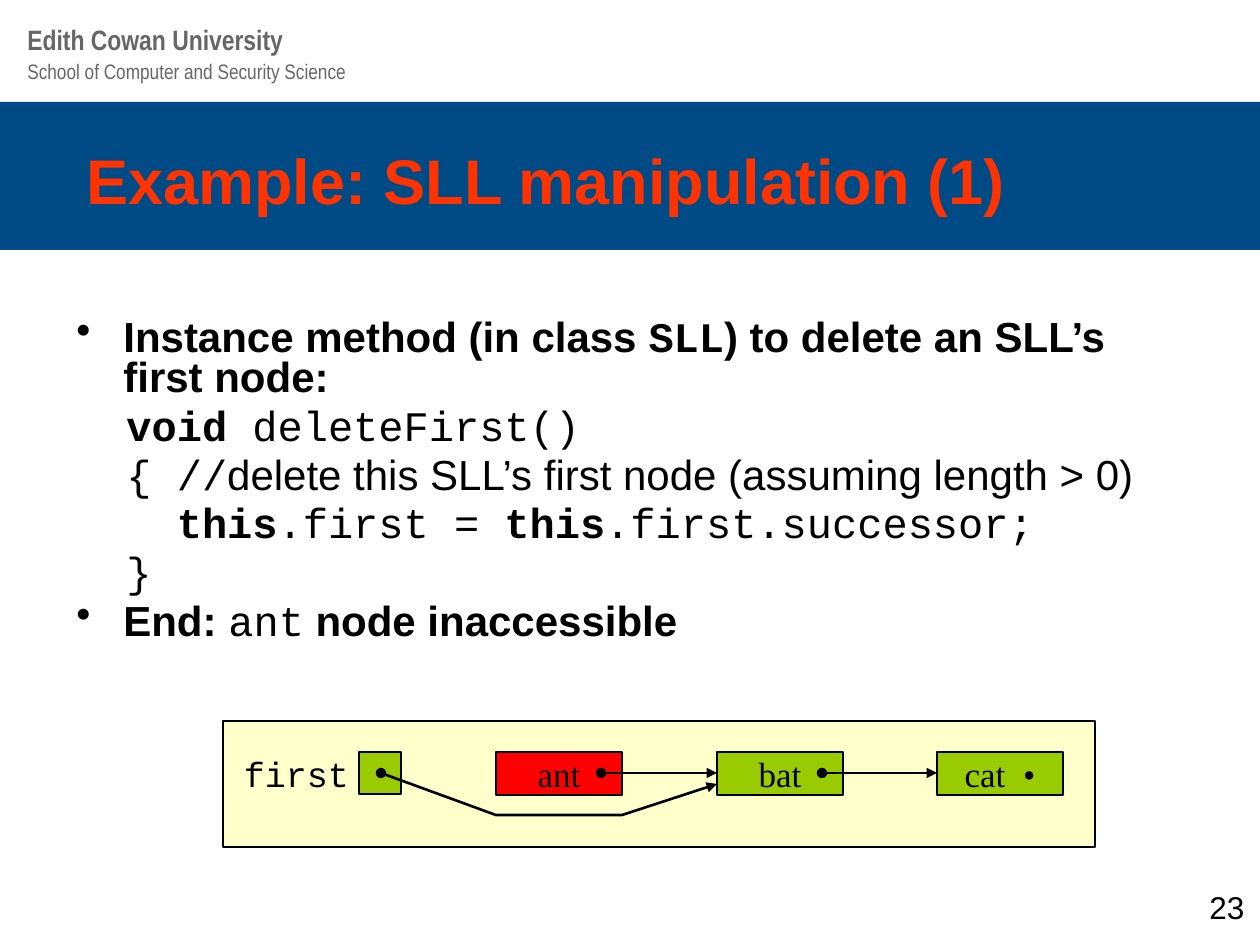
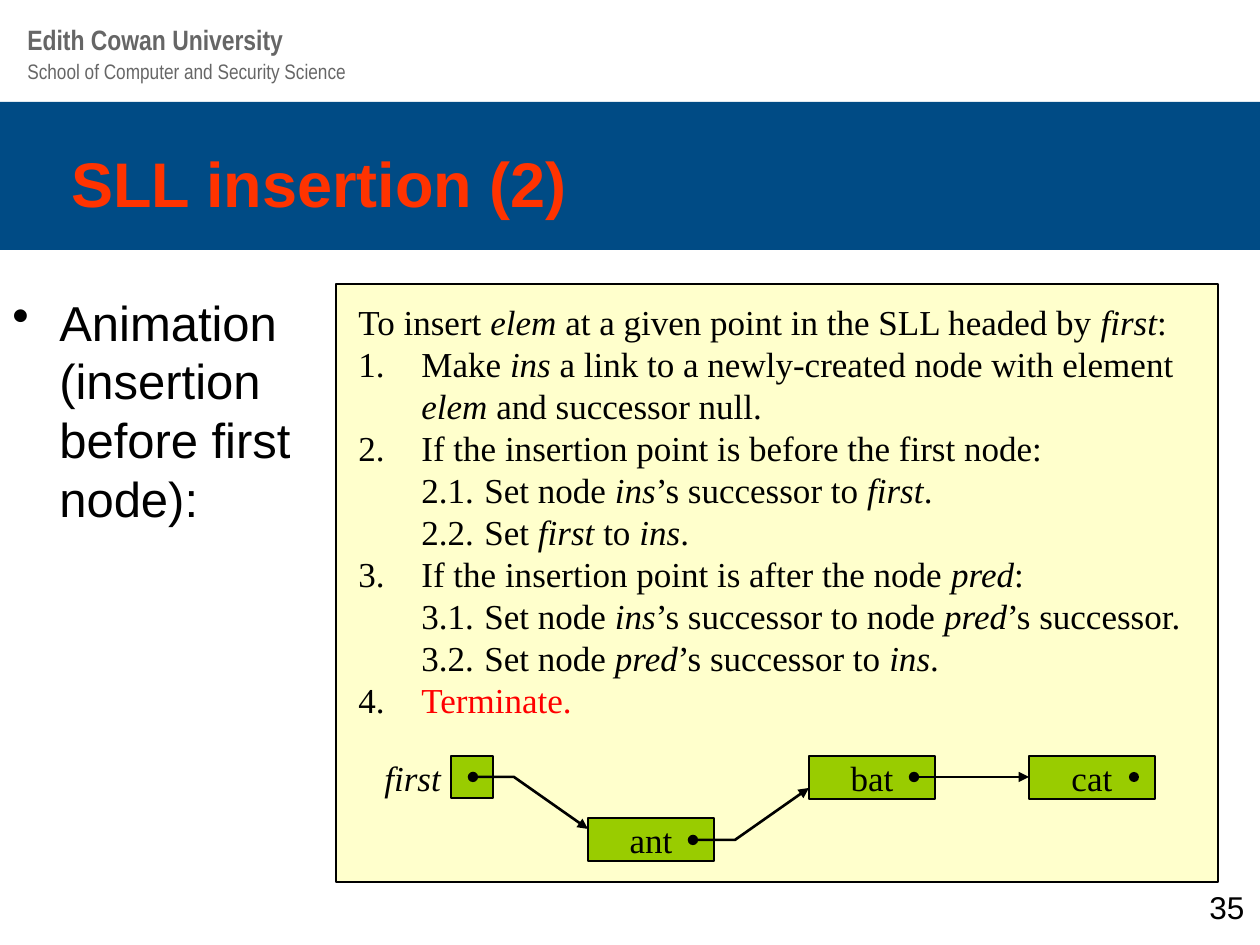
"""Build two slides on manipulating singly-linked lists."""
from pptx import Presentation
from pptx.dml.color import RGBColor
from pptx.enum.shapes import MSO_CONNECTOR, MSO_SHAPE
from pptx.enum.text import MSO_ANCHOR, PP_ALIGN
from pptx.oxml.ns import qn
from pptx.util import Emu, Pt
from lxml import etree

PX_PER_INCH = 126
RECT, OVAL = MSO_SHAPE.RECTANGLE, MSO_SHAPE.OVAL
STRAIGHT = MSO_CONNECTOR.STRAIGHT
TOP, MIDDLE = MSO_ANCHOR.TOP, MSO_ANCHOR.MIDDLE
CENTER, RIGHT = PP_ALIGN.CENTER, PP_ALIGN.RIGHT

BLACK, GREY, BLUE, ORANGE = "000000", "666666", "004B85", "FF3300"
CREAM, GREEN, RED = "FFFFCC", "99CC00", "FF0000"

SANS = {"name": "Arial", "color": BLACK}
NARROW = {"name": "Arial Narrow", "color": GREY}
SERIF = {"name": "Times New Roman", "size": 20, "color": BLACK}
TITLE = {**SANS, "size": 36, "bold": True, "color": ORANGE}
BODY = {**SANS, "size": 24, "bold": False}
STRONG = {**BODY, "bold": True}
CODE = {**BODY, "name": "Courier New"}
KEYWORD = {**CODE, "bold": True}

BULLET = {"margin": 47, "indent": -47, "bullet": "•"}
TIGHT = {"line_spacing": 0.8, "space_before": Pt(4.8)}
NODE_WIDTH, NODE_HEIGHT, CELL = 126, 43, 42

STEPS = [
    "To insert *elem* at a given point in the SLL headed by *first*:",
    "1.\tMake *ins* a link to a newly-created node with element",
    "\t*elem* and successor null.",
    "2.\tIf the insertion point is before the first node:",
    "\t2.1.\tSet node *ins*’s successor to *first*.",
    "\t2.2.\tSet *first* to *ins*.",
    "3.\tIf the insertion point is after the node *pred*:",
    "\t3.1.\tSet node *ins*’s successor to node *pred*’s successor.",
    "\t3.2.\tSet node *pred*’s successor to *ins*.",
]


def px(length):
    """Turn a length in px into EMU."""
    return Emu(round(length * 914400 / PX_PER_INCH))


def rgb(code):
    """Turn a hex string into a colour."""
    return RGBColor.from_string(code)


def add_span(para, text, style):
    """Add a run of text in the given style."""
    span = para.add_run()
    span.text = text
    for key, value in style.items():
        if key == "color":
            span.font.color.rgb = rgb(value)
        elif key == "tracking":
            span.font._element.set("spc", str(value))
        else:
            setattr(span.font, key, Pt(value) if key == "size" else value)


def lay_out(para, margin=0, indent=0, bullet=None, tabs=(), **formats):
    """Set the indents, bullet, tab stops and spacing of a paragraph."""
    properties = para._p.get_or_add_pPr()
    properties.set("marL", str(px(margin)))
    properties.set("indent", str(px(indent)))
    if bullet:
        etree.SubElement(properties, qn("a:buChar"), char=bullet)
    if tabs:
        stops = etree.SubElement(properties, qn("a:tabLst"))
        for stop in tabs:
            etree.SubElement(stops, qn("a:tab"), pos=str(px(stop)), algn="l")
    for key, value in formats.items():
        setattr(para, key, value)


def write(frame, paras, anchor=TOP, inset=None):
    """Fill a text frame with (spans, layout) paragraphs."""
    frame.word_wrap = True
    frame.vertical_anchor = anchor
    if inset is not None:
        for side in ("left", "top", "right", "bottom"):
            setattr(frame, f"margin_{side}", px(inset))
    for number, (spans, layout) in enumerate(paras):
        para = frame.add_paragraph() if number else frame.paragraphs[0]
        lay_out(para, **layout)
        if not number:
            para.space_before = Pt(0)
        for text, style in spans:
            add_span(para, text, style)


def add_text(page, place, paras, **options):
    """Add a text box."""
    box = page.shapes.add_textbox(*map(px, place))
    write(box.text_frame, paras, **options)


def add_line_of_text(page, place, text, style, **options):
    """Add a text box with one plain paragraph."""
    add_text(page, place, [([(text, style)], {})], **options)


def add_block(page, place, fill, line=BLACK, preset=RECT):
    """Add a flat preset shape."""
    block = page.shapes.add_shape(preset, *map(px, place))
    block.shadow.inherit = False
    block.fill.solid()
    block.fill.fore_color.rgb = rgb(fill)
    if line:
        block.line.color.rgb = rgb(line)
        block.line.width = Pt(0.75)
    else:
        block.line.fill.background()
    return block


def add_node(page, left, top, spans, fill=GREEN):
    """Add a list node with its element."""
    node = add_block(page, (left, top, NODE_WIDTH, NODE_HEIGHT), fill)
    write(node.text_frame, [(spans, {"alignment": CENTER})], MIDDLE, 0)


def add_header(page, left, top, width, style):
    """Add the label and the cell of the link to the first node."""
    add_text(page, (left, top, width, CELL),
             [([("first", style)], {"alignment": RIGHT})], inset=0)
    add_block(page, (left + width + 10, top, CELL, CELL), GREEN)


def add_link(page, *points):
    """Draw a link from a dot through the points to an arrowhead."""
    start, *others = [tuple(map(px, point)) for point in points]
    if len(others) == 1:
        link = page.shapes.add_connector(STRAIGHT, *start, *others[0])
        etree.SubElement(link.element.spPr, qn("a:effectLst"))
    else:
        outline = page.shapes.build_freeform(*start)
        outline.add_line_segments(others, close=False)
        link = outline.convert_to_shape()
        link.fill.background()
        link.shadow.inherit = False
    link.line.color.rgb = rgb(BLACK)
    link.line.width = Pt(1.5)
    line = link.element.spPr.find(qn("a:ln"))
    etree.SubElement(line, qn("a:headEnd"), type="oval")
    etree.SubElement(line, qn("a:tailEnd"), type="triangle")


def add_page(deck, title, title_place, number):
    """Add a slide with the shared band, names, title and page number."""
    page = deck.slides.add_slide(deck.slide_layouts[6])
    add_block(page, (0, 102, 1260, 148), BLUE, line=None)
    add_line_of_text(page, (15, 52, 742, 38),
                     "School of Computer and Security Science",
                     {**NARROW, "size": 12})
    add_line_of_text(page, (15, 16, 742, 47), "Edith Cowan University",
                     {**NARROW, "size": 16, "bold": True})
    add_line_of_text(page, title_place, title, TITLE)
    add_line_of_text(page, (1197, 882, 63, 42), number, {**SANS, "size": 18})
    return page


def add_deletion(deck):
    """Build the slide on deleting the first node."""
    page = add_page(deck, "Example: SLL manipulation (1)",
                    (74, 135, 1071, 94), "23")
    point = {**BULLET, **TIGHT}
    code = {"margin": 50, **TIGHT}
    add_text(page, (64, 314, 1143, 358), [
        ([("Instance method (in class ", STRONG), ("SLL", KEYWORD),
          (") to delete an SLL’s first node:", STRONG)], point),
        ([("void ", KEYWORD), ("deleteFirst()", CODE)], code),
        ([("{ //", CODE),
          ("delete this SLL’s first node (assuming length > 0)", BODY)], code),
        ([("  ", CODE), ("this", KEYWORD), (".first = ", CODE),
          ("this", KEYWORD), (".first.successor;", CODE)], code),
        ([("}", CODE)], code),
        ([("End: ", STRONG), ("ant", CODE),
          (" node inaccessible", STRONG)], point),
    ])
    add_block(page, (223, 721, 872, 126), CREAM)
    add_header(page, 233, 752, 116, {**CODE, "size": 20})
    add_node(page, 496, 752, [("ant", SERIF)], RED)
    add_node(page, 717, 752, [("bat", SERIF)])
    add_node(page, 937, 752, [("cat", SERIF),
                              (" ", {**SERIF, "tracking": 500}),
                              ("•", SERIF)])
    add_link(page, (601, 773), (717, 773))
    add_link(page, (822, 773), (937, 773))
    add_link(page, (381, 773), (496, 815), (622, 815), (717, 784))


def add_insertion(deck):
    """Build the slide on inserting before the first node."""
    page = add_page(deck, "SLL insertion (2)", (59, 138, 1071, 84), "35")
    add_text(page, (0, 286, 305, 431),
             [([("Animation (insertion before first node):",
                 {**SANS, "size": 28})], BULLET)])
    add_block(page, (336, 284, 882, 598), CREAM)
    italic = {**SERIF, "italic": True}
    layout = {"tabs": (53, 131)}
    steps = [([(part, italic if place % 2 else SERIF)
               for place, part in enumerate(step.split("*")) if part], layout)
             for step in STEPS]
    last = [("4.\t", SERIF), ("Terminate.", {**SERIF, "color": RED})]
    add_text(page, (346, 294, 861, 432), steps + [(last, layout)])
    add_header(page, 378, 756, 63, italic)
    for name, left, top in (("ant", 588, 818), ("bat", 809, 756),
                            ("cat", 1029, 756)):
        add_node(page, left, top, [(name, SERIF)])
    add_block(page, (1129, 772, 10, 10), BLACK, line=None, preset=OVAL)
    add_link(page, (914, 777), (1029, 777))
    add_link(page, (693, 840), (735, 840), (809, 788))
    add_link(page, (473, 777), (514, 777), (588, 829))


def main():
    """Build and save the deck."""
    deck = Presentation()
    deck.slide_width, deck.slide_height = px(1260), px(945)
    add_deletion(deck)
    add_insertion(deck)
    deck.save("out.pptx")


if __name__ == "__main__":
    main()
